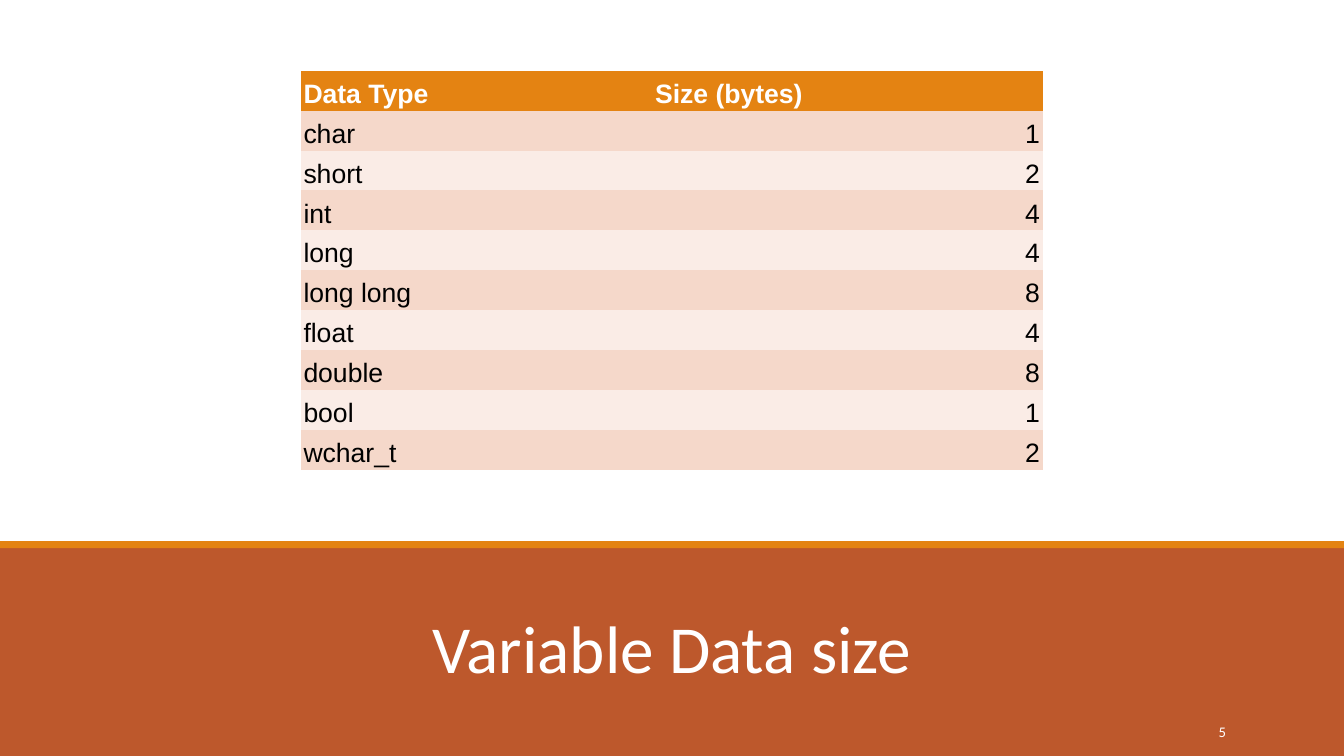
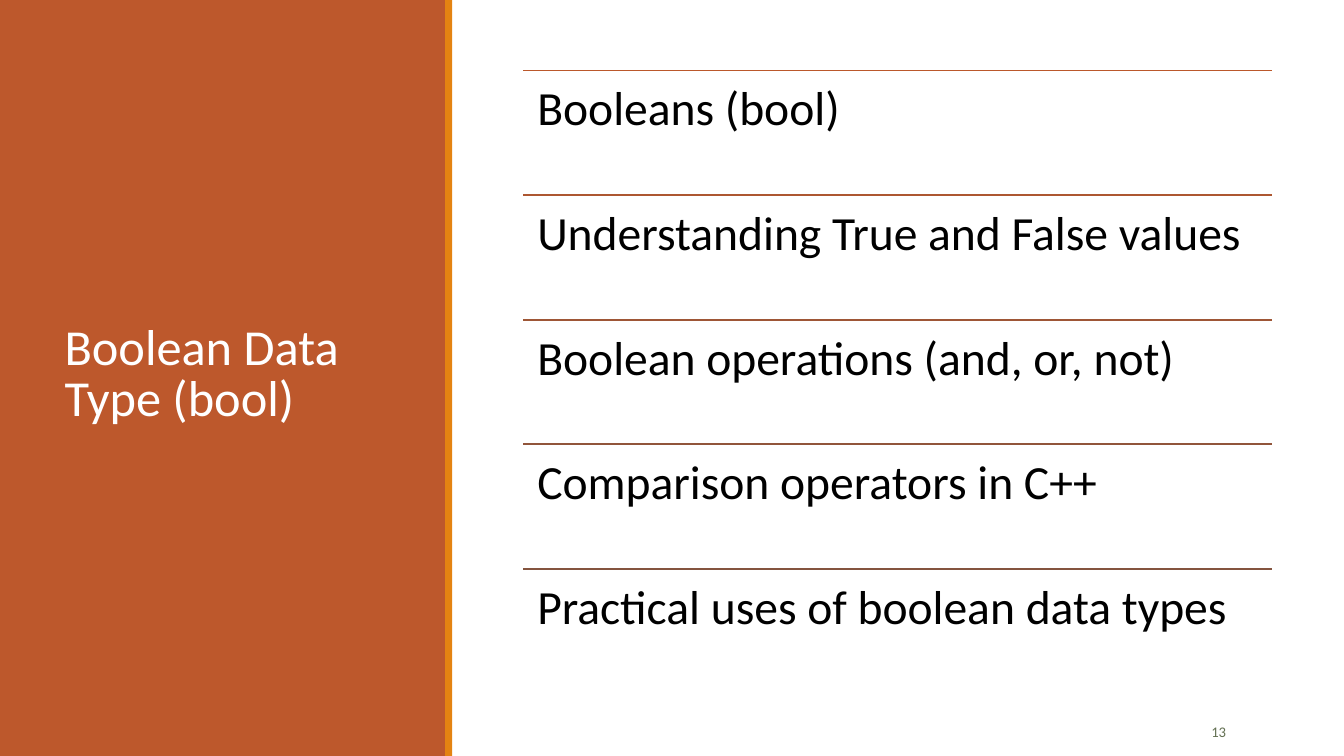
"""Build two C++ slides: a data size table and the boolean topics."""
from dataclasses import dataclass

from lxml.etree import SubElement
from pptx import Presentation
from pptx.dml.color import RGBColor
from pptx.enum.shapes import MSO_CONNECTOR, MSO_SHAPE
from pptx.enum.text import MSO_ANCHOR as Anchor
from pptx.enum.text import MSO_AUTO_SIZE as AutoSize
from pptx.enum.text import PP_ALIGN as Align
from pptx.oxml.ns import qn
from pptx.util import Pt

DATA_SIZES = [
    ("Data Type", "Size (bytes)"),
    ("char", "1"),
    ("short", "2"),
    ("int", "4"),
    ("long", "4"),
    ("long long", "8"),
    ("float", "4"),
    ("double", "8"),
    ("bool", "1"),
    ("wchar_t", "2"),
]
TOPICS = [
    ("Booleans (bool)", "BB582B"),
    ("Understanding True and False values", "AD5731"),
    ("Boolean operations (and, or, not)", "9E5636"),
    ("Comparison operators in C++", "91553B"),
    ("Practical uses of boolean data types", "84543F"),
]
WIDTH, HEIGHT = 960, 540
NO_TABLE_STYLE = "{2D5ABB26-0587-4C30-8999-92F81FD0307C}"


@dataclass(frozen=True)
class Theme:
    """Colours, fonts and type sizes of the deck."""
    band: str = "BD582C"
    accent: str = "E48312"
    white: str = "FFFFFF"
    black: str = "000000"
    muted: str = "637052"
    stripes: tuple = ("FAECE6", "F5D8CA")
    font: str = "Calibri"
    table_font: str = "Arial"
    wide_title: float = 48
    side_title: float = 36
    topic: float = 34
    cell: float = 19
    number: float = 10.5


T = Theme()


def rgb(value):
    """Turn a hex string into a colour."""
    return RGBColor.from_string(value)


def set_font(p, size, color, name=T.font, bold=False):
    """Format a whole paragraph."""
    p.font.size, p.font.name, p.font.bold = Pt(size), name, bold
    p.font.color.rgb = rgb(color)


def set_margins(box, x, y):
    """Set the side and the top and bottom margins of a frame or cell."""
    box.margin_left = box.margin_right = Pt(x)
    box.margin_top = box.margin_bottom = Pt(y)


def add_rect(s, box, color):
    """Add a plain filled rectangle."""
    sp = s.shapes.add_shape(MSO_SHAPE.RECTANGLE, *map(Pt, box))
    sp.shadow.inherit = False
    sp.fill.solid()
    sp.fill.fore_color.rgb = rgb(color)
    sp.line.fill.background()


def add_text(s, box, text, size, color, align=Align.LEFT, anchor=Anchor.TOP,
             margins=(7.2, 3.6), spacing=1.0):
    """Add a wrapped one-paragraph text box."""
    tf = s.shapes.add_textbox(*map(Pt, box)).text_frame
    tf.word_wrap = True
    tf.vertical_anchor = anchor
    set_margins(tf, *margins)
    p = tf.paragraphs[0]
    p.text, p.alignment, p.line_spacing = text, align, spacing
    set_font(p, size, color)


def add_slide(prs, title, band, stripe, title_box, size, align, anchor,
              number, number_color):
    """Add a slide with its band, accent stripe, title and number."""
    s = prs.slides.add_slide(prs.slide_layouts[5])
    add_rect(s, band, T.band)
    add_rect(s, stripe, T.accent)
    sp = s.shapes.title
    s.shapes.element.append(sp.element)
    sp.left, sp.top, sp.width, sp.height = map(Pt, title_box)
    tf = sp.text_frame
    tf.word_wrap, tf.auto_size, tf.vertical_anchor = True, AutoSize.NONE, anchor
    set_margins(tf, 7.2, 3.6)
    p = tf.paragraphs[0]
    p.text, p.alignment, p.line_spacing = title, align, 0.85
    set_font(p, size, T.white)
    add_text(s, (780, 508.5, 102.9, 28.75), number, T.number, number_color,
             Align.RIGHT, Anchor.MIDDLE)
    return s


def add_size_table(s, left, top, col_widths, row_height):
    """Add the striped table of data sizes."""
    frame = s.shapes.add_table(
        len(DATA_SIZES), len(col_widths), Pt(left), Pt(top),
        Pt(sum(col_widths)), Pt(row_height * len(DATA_SIZES)))
    for style in frame.element.iter(qn("a:tableStyleId")):
        style.text = NO_TABLE_STYLE
    table = frame.table
    for column, width in zip(table.columns, col_widths):
        column.width = Pt(width)
    for i, values in enumerate(DATA_SIZES):
        header = i == 0
        table.rows[i].height = Pt(row_height)
        for j, value in enumerate(values):
            cell = table.cell(i, j)
            cell.fill.solid()
            cell.fill.fore_color.rgb = rgb(T.accent if header else T.stripes[i % 2])
            cell.vertical_anchor = Anchor.BOTTOM
            set_margins(cell, 2, 1.3)
            p = cell.text_frame.paragraphs[0]
            p.text = value
            p.alignment = Align.RIGHT if j and not header else Align.LEFT
            set_font(p, T.cell, T.white if header else T.black,
                     T.table_font, header)


def add_topics(s, left, top, width, pitch):
    """Add the topics, each under its own rule."""
    for i, (text, color) in enumerate(TOPICS):
        y = top + i * pitch
        rule = s.shapes.add_connector(
            MSO_CONNECTOR.STRAIGHT, Pt(left), Pt(y), Pt(left + width), Pt(y))
        rule.line.color.rgb = rgb(color)
        rule.line.width = Pt(1.25)
        SubElement(rule.element.spPr, qn("a:effectLst"))
        add_text(s, (left, y, width, pitch), text, T.topic, T.black,
                 margins=(10.2, 10.2), spacing=0.9)


def main():
    """Build and save the deck."""
    prs = Presentation()
    prs.slide_width, prs.slide_height = Pt(WIDTH), Pt(HEIGHT)

    s = add_slide(prs, "Variable Data size", (0, 390, WIDTH, 150),
                  (0, 386.5, WIDTH, 5), (84, 413, 792, 81.5),
                  T.wide_title, Align.CENTER, Anchor.BOTTOM, "5", T.white)
    add_size_table(s, 214.8, 50.6, (251.2, 278.8), 28.5)

    s = add_slide(prs, "Boolean Data Type (bool)", (0, 0, 319, HEIGHT),
                  (318, 0, 5, HEIGHT), (38.9, 41, 242.6, 454.3),
                  T.side_title, Align.LEFT, Anchor.MIDDLE, "13", T.muted)
    add_topics(s, 373.6, 50.4, 535, 89)

    prs.save("out.pptx")


if __name__ == "__main__":
    main()
